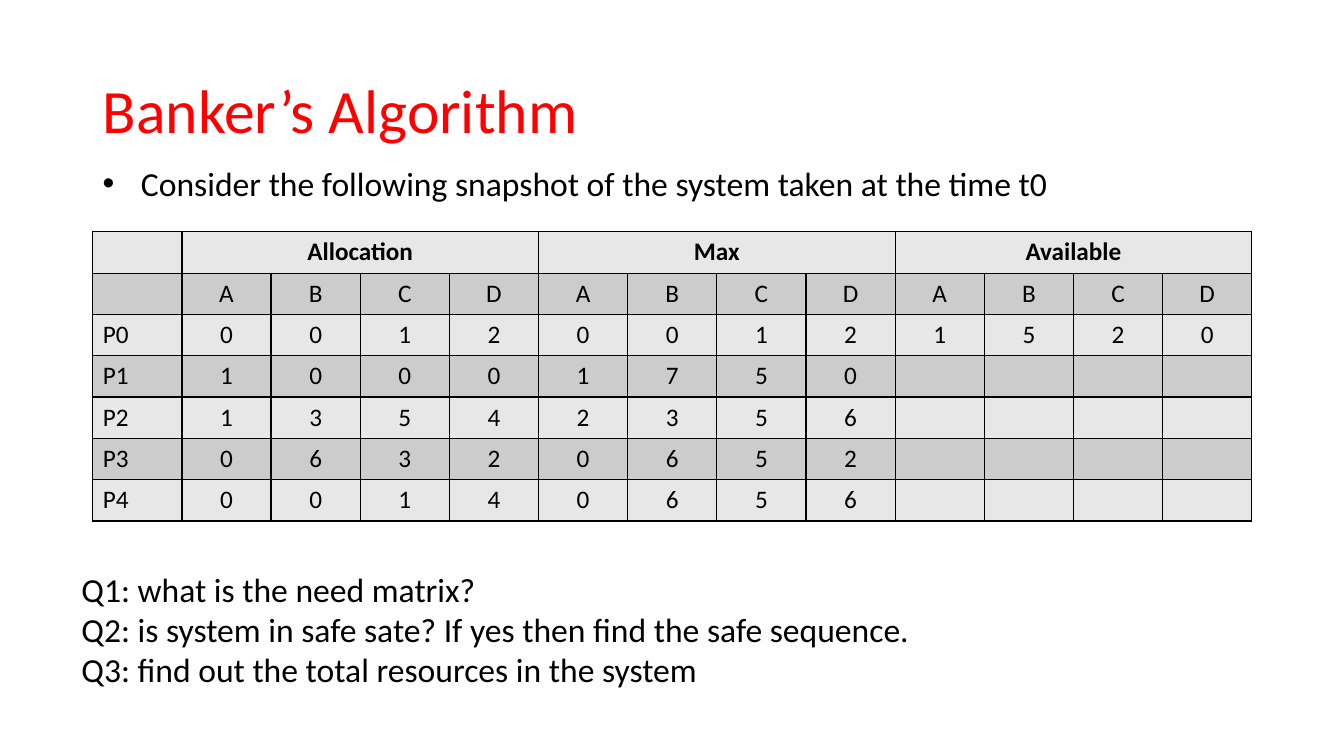
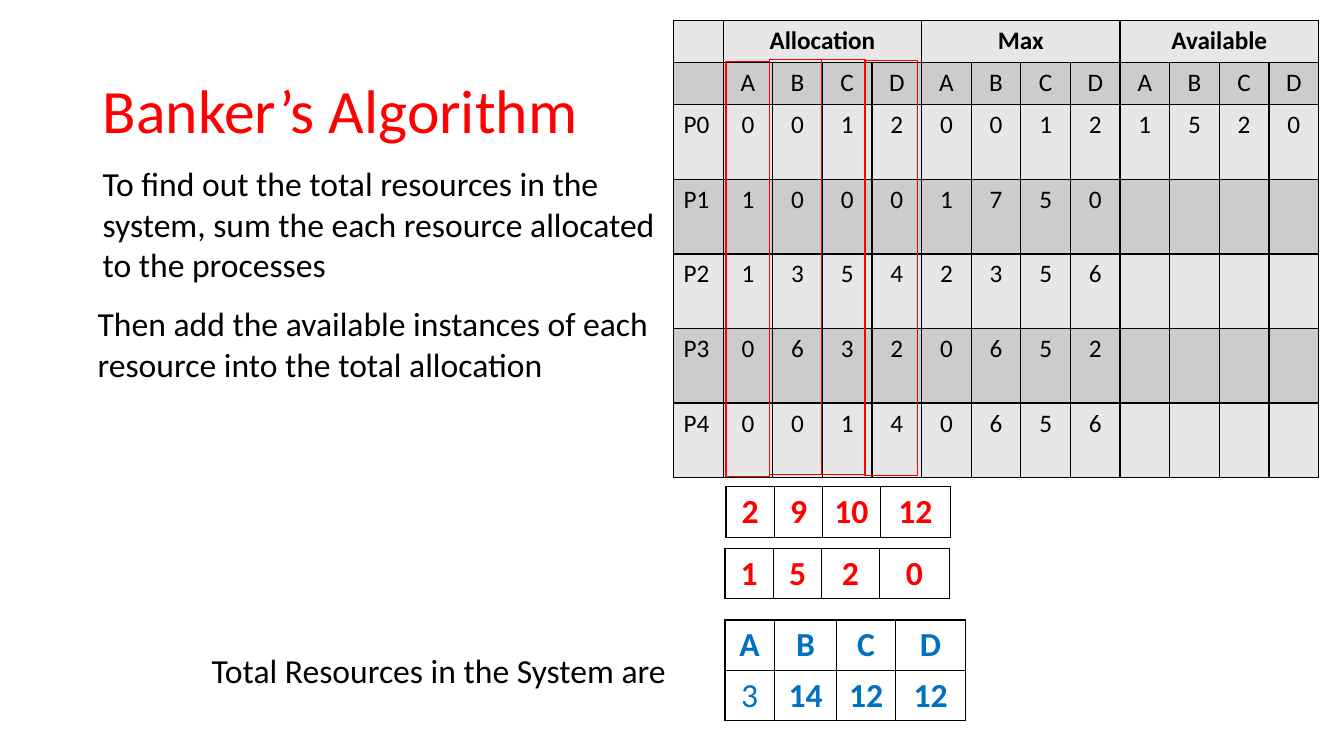
import lxml.etree
import pptx
import pptx.dml.color
import pptx.enum.shapes
import pptx.enum.text
import pptx.oxml
import pptx.oxml.ns
import pptx.util

EMU_PER_PX = 9144
FONT = "Calibri"
BLACK, RED, BLUE = "000000", "FF0000", "0070C0"
BAND_FILLS = ("E7E7E7", "CCCCCC")
LEFT = pptx.enum.text.PP_ALIGN.LEFT
CENTER = pptx.enum.text.PP_ALIGN.CENTER

RESOURCES = list("ABCD")
GROUPS = ("Allocation", "Max", "Available")
PROCESSES = (
    ("P0", "0012", "0012", "1520"),
    ("P1", "1000", "1750", "    "),
    ("P2", "1354", "2356", "    "),
    ("P3", "0632", "0652", "    "),
    ("P4", "0014", "0656", "    "),
)


def px(length):
    return pptx.util.Emu(length * EMU_PER_PX)


def color(hex_string):
    return pptx.dml.color.RGBColor.from_string(hex_string)


def write_text(text_frame, text, size=24, font_color=BLACK, bold=False,
               alignment=LEFT, line_spacing=None, bullet=False):
    for index, line in enumerate(text.split("\n")):
        paragraph = text_frame.paragraphs[0] if index == 0 else text_frame.add_paragraph()
        paragraph.alignment = alignment
        if line_spacing:
            paragraph.line_spacing = line_spacing
        if bullet:
            add_bullet(paragraph)
        run = paragraph.add_run()
        run.text = line
        run.font.name = FONT
        run.font.size = pptx.util.Pt(size)
        run.font.bold = bold
        run.font.color.rgb = color(font_color)


def add_bullet(paragraph, indent=38):
    properties = paragraph._p.get_or_add_pPr()
    properties.set("marL", str(px(indent)))
    properties.set("indent", str(-px(indent)))
    font = lxml.etree.SubElement(properties, pptx.oxml.ns.qn("a:buFont"))
    font.set("typeface", "Arial")
    mark = lxml.etree.SubElement(properties, pptx.oxml.ns.qn("a:buChar"))
    mark.set("char", "•")


def add_text(slide, left, top, width, height, text, **text_format):
    shape = slide.shapes.add_textbox(px(left), px(top), px(width), px(height))
    shape.text_frame.word_wrap = True
    shape.text_frame.auto_size = pptx.enum.text.MSO_AUTO_SIZE.SHAPE_TO_FIT_TEXT
    write_text(shape.text_frame, text, **text_format)


def add_titled_slide(presentation, title):
    slide = presentation.slides.add_slide(presentation.slide_layouts[5])
    shape = slide.shapes.title
    shape.left, shape.top, shape.width, shape.height = map(px, (92, 40, 1150, 145))
    shape.text_frame.auto_size = pptx.enum.text.MSO_AUTO_SIZE.NONE
    shape.text_frame.vertical_anchor = pptx.enum.text.MSO_ANCHOR.MIDDLE
    write_text(shape.text_frame, title, size=44, font_color=RED, line_spacing=0.9)
    return slide


def set_borders(cell):
    properties = cell._tc.get_or_add_tcPr()
    for index, side in enumerate("LRTB"):
        properties.insert(index, pptx.oxml.parse_xml(
            f'<a:ln{side} {pptx.oxml.ns.nsdecls("a")} w="12700"><a:solidFill>'
            f'<a:srgbClr val="{BLACK}"/></a:solidFill></a:ln{side}>'))


def add_grid(slide, left, top, widths, heights):
    frame = slide.shapes.add_table(
        len(heights), len(widths), px(left), px(top), sum(widths), sum(heights))
    table = frame.table
    table.first_row = table.horz_banding = False
    for column, width in zip(table.columns, widths):
        column.width = width
    for row, height in zip(table.rows, heights):
        row.height = height
    for cell in table.iter_cells():
        cell.fill.background()
        set_borders(cell)
    return table


def add_snapshot_table(slide, left, top, width, heights):
    column_count = 1 + len(GROUPS) * len(RESOURCES)
    widths = [px(width) // column_count] * column_count
    table = add_grid(slide, left, top, widths, [px(height) for height in heights])
    for row_index, row in enumerate(table.rows):
        for cell in row.cells:
            cell.fill.solid()
            cell.fill.fore_color.rgb = color(BAND_FILLS[row_index % 2])
    for group_index, group in enumerate(GROUPS):
        first = 1 + group_index * len(RESOURCES)
        heading = table.cell(0, first)
        heading.merge(table.cell(0, first + len(RESOURCES) - 1))
        write_text(heading.text_frame, group, size=18, bold=True, alignment=CENTER)
    rows = [[""] + RESOURCES * len(GROUPS)]
    rows += [[name, *"".join(counts)] for name, *counts in PROCESSES]
    for row_index, values in enumerate(rows, 1):
        for column_index, value in enumerate(values):
            if value.strip():
                write_text(table.cell(row_index, column_index).text_frame, value, size=18,
                           alignment=CENTER if column_index else LEFT)


def add_totals_table(slide, left, top, widths, rows, font_color, plain=()):
    table = add_grid(slide, left, top, [px(width) for width in widths], [px(50)] * len(rows))
    for row_index, values in enumerate(rows):
        for column_index, value in enumerate(values):
            write_text(table.cell(row_index, column_index).text_frame, value,
                       font_color=font_color, alignment=CENTER,
                       bold=(row_index, column_index) not in plain)


def add_highlight(slide, left, top, width, height):
    shape = slide.shapes.add_shape(
        pptx.enum.shapes.MSO_SHAPE.RECTANGLE, px(left), px(top), px(width), px(height))
    shape.shadow.inherit = False
    shape.fill.background()
    shape.line.color.rgb = color(RED)
    shape.line.width = pptx.util.Pt(1)


def build_question_slide(presentation, title):
    slide = add_titled_slide(presentation, title)
    add_snapshot_table(slide, 92, 230, 1150, [41] * 7)
    add_text(slide, 92, 157, 1150, 50,
             "Consider the following snapshot of the system taken at the time t0", bullet=True)
    add_text(slide, 71, 559, 1150, 131,
             "Q1: what is the need matrix?\n"
             "Q2: is system in safe sate? If yes then find the safe sequence.\n"
             "Q3: find out the total resources in the system")


def build_total_slide(presentation, title):
    slide = add_titled_slide(presentation, title)
    add_snapshot_table(slide, 668, 20, 640, [42] * 2 + [74] * 5)
    left = 720
    for top, width in ((61, 43), (59, 52), (59, 43), (60, 52)):
        add_highlight(slide, left, top, width, 412)
        left += width
    add_text(slide, 92, 157, 576, 131,
             "To find out the total resources in the system, "
             "sum the each resource allocated to the processes")
    add_text(slide, 87, 296, 576, 91,
             "Then add the available instances of each resource into the total allocation")
    sum_widths = (48, 48, 57, 70)
    add_totals_table(slide, 720, 483, sum_widths, [("2", "9", "10", "12")], RED)
    add_totals_table(slide, 719, 544, sum_widths, [("1", "5", "2", "0")], RED)
    add_totals_table(slide, 719, 615, (49, 62, 58, 70),
                     [RESOURCES, ("3", "14", "12", "12")], BLUE, plain={(1, 0)})
    add_text(slide, 200, 640, 519, 50, "Total Resources in the System are")


def main():
    presentation = pptx.Presentation()
    presentation.slide_width = px(1333)
    presentation.slide_height = px(750)
    title = "Banker’s Algorithm"
    build_question_slide(presentation, title)
    build_total_slide(presentation, title)
    presentation.save("out.pptx")


if __name__ == "__main__":
    main()
